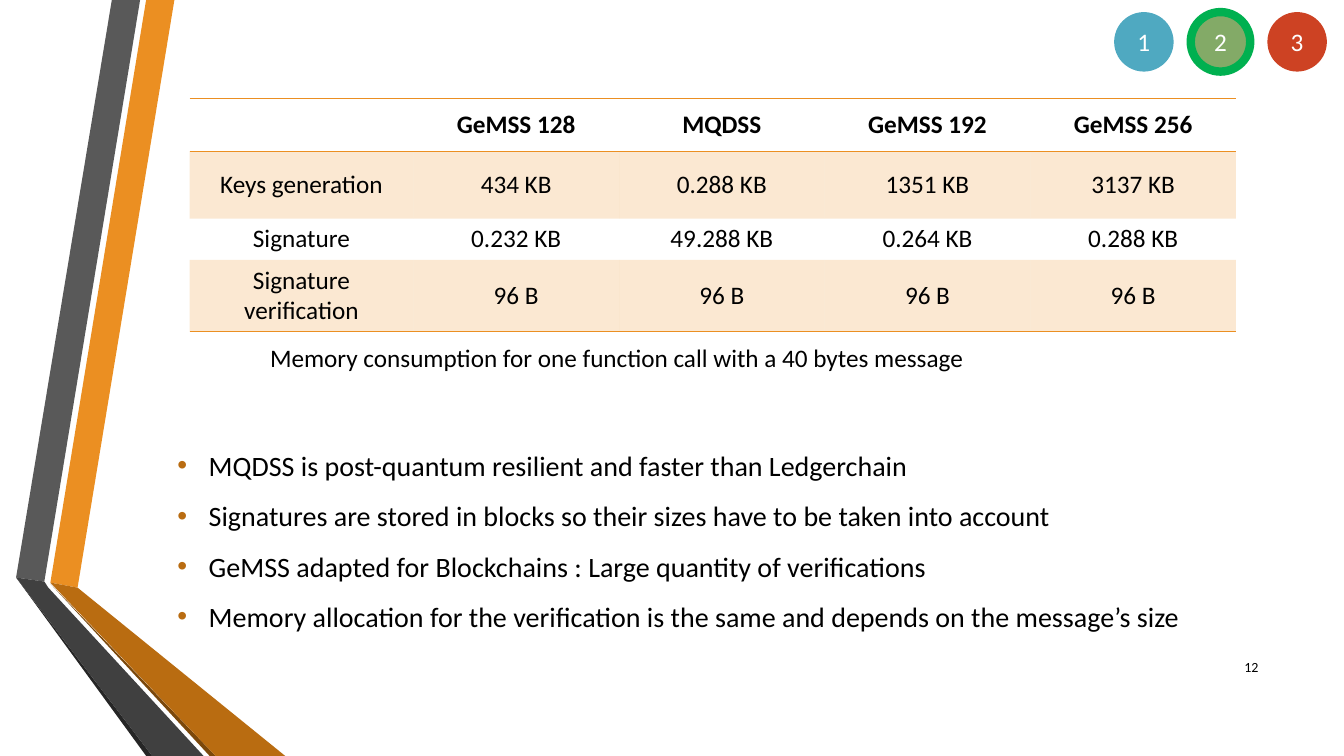
import pptx
import pptx.dml.color
import pptx.enum.shapes
import pptx.enum.text
import pptx.oxml
import pptx.oxml.ns
import pptx.util

PX = 9144
FONT = "Calibri"
BLACK, WHITE, GOLD, RUST = "000000", "FFFFFF", "EB8F22", "B96C11"
ALIGN = pptx.enum.text.PP_ALIGN
MID = pptx.enum.text.MSO_ANCHOR.MIDDLE
NONE = pptx.enum.text.MSO_AUTO_SIZE.NONE
PLAIN = "{2D5ABB26-0587-4C30-8999-92F81FD0307C}"

BANDS = [
    (GOLD, [(50, 578), (77, 583), (173, 0), (145, 0)]),
    ("595959", [(139, 0), (111, 0), (16, 573), (44, 577)]),
    ("262626", [(16, 573), (145, 750), (151, 750)]),
    ("7B480B", [(50, 579), (208, 750), (214, 750)]),
    (RUST, [(50, 578), (214, 750), (283, 750), (77, 583)]),
    ("404040", [(202, 750), (48, 583), (44, 577), (16, 573), (151, 750)]),
]
ROWS = [
    ["", "GeMSS 128", "MQDSS", "GeMSS 192", "GeMSS 256"],
    ["Keys generation", "434 KB", "0.288 KB", "1351 KB", "3137 KB"],
    ["Signature", "0.232 KB", "49.288 KB", "0.264 KB", "0.288 KB"],
    ["Signature verification"] + ["96 B"] * 4,
]
POINTS = [
    "MQDSS is post-quantum resilient and faster than Ledgerchain",
    "Signatures are stored in blocks so their sizes have to be taken into account",
    "GeMSS adapted for Blockchains : Large quantity of verifications",
    "Memory allocation for the verification is the same and depends on the message’s size",
]
STEPS = [("1", "4FA9C1", None), ("2", "83AA67", "00B050"), ("3", "CD4223", None)]


def emu(*nums):
    """Turn px lengths into EMU."""
    return [pptx.util.Emu(n * PX) for n in nums]


def paint(form, hue):
    """Give a fill or a font a hex colour."""
    if hasattr(form, "solid"):
        form.solid()
        form = form.fore_color
    else:
        form = form.color
    form.rgb = pptx.dml.color.RGBColor.from_string(hue)


def style(frame, size, hue, align, bold=False):
    """Format every paragraph and run of a text frame."""
    for para in frame.paragraphs:
        para.alignment = align
        for run in para.runs:
            run.font.name = FONT
            run.font.size = pptx.util.Pt(size)
            run.font.bold = bold
            paint(run.font, hue)


def note(slide, box, text, size, align):
    """Place one line of black text in a box."""
    frame = slide.shapes.add_textbox(*emu(*box)).text_frame
    frame.text = text
    frame.word_wrap = True
    frame.vertical_anchor = MID
    style(frame, size, BLACK, align)


def ribbon(slide, box):
    """Draw the folded bands, offset by the corner of the box."""
    left, top = box
    for hue, dots in BANDS:
        dots = [(left + x, top + y) for x, y in dots]
        pen = slide.shapes.build_freeform(*dots[0], scale=PX)
        pen.add_line_segments(dots[1:], close=True)
        band = pen.convert_to_shape()
        band.shadow.inherit = False
        band.line.fill.background()
        paint(band.fill, hue)


def border(cell, sides):
    """Add one-point gold rules to the given sides of a cell."""
    props = cell._tc.get_or_add_tcPr()
    for spot, side in enumerate(sides):
        props.insert(spot, pptx.oxml.parse_xml(
            f'<a:ln{side} {pptx.oxml.ns.nsdecls("a")} w="12700"><a:solidFill>'
            f'<a:srgbClr val="{GOLD}"/></a:solidFill></a:ln{side}>'))


def tint(cell):
    """Fill a cell with gold at one fifth strength."""
    paint(cell.fill, GOLD)
    tone = cell._tc.tcPr.find(".//" + pptx.oxml.ns.qn("a:srgbClr"))
    tone.append(pptx.oxml.parse_xml(
        f'<a:alpha {pptx.oxml.ns.nsdecls("a")} val="20000"/>'))


def grid(slide, box):
    """Build the memory table in a box."""
    frame = slide.shapes.add_table(len(ROWS), len(ROWS[0]), *emu(*box))
    table = frame.table
    table.first_row = table.horz_banding = False
    table._tbl.tblPr.find(pptx.oxml.ns.qn("a:tableStyleId")).text = PLAIN
    for col, wide in zip(table.columns, emu(222, *[204] * 4)):
        col.width = wide
    for row, high in zip(table.rows, emu(52, 67, 41, 71)):
        row.height = high
    for r, words in enumerate(ROWS):
        for c, word in enumerate(words):
            cell = table.cell(r, c)
            cell.text = word
            cell.vertical_anchor = MID
            style(cell.text_frame, 18, BLACK, ALIGN.CENTER, r == 0)
            if r % 2:
                tint(cell)
            else:
                cell.fill.background()
            border(cell, {0: "TB", len(ROWS) - 1: "B"}.get(r, ""))


def points(slide, box):
    """Fill the body placeholder with the bulleted findings."""
    body = slide.placeholders[1]
    body.left, body.top, body.width, body.height = emu(*box)
    frame = body.text_frame
    frame.text = "\n".join(POINTS)
    frame.word_wrap = True
    frame.auto_size = NONE
    style(frame, 20, BLACK, ALIGN.LEFT)
    for para in frame.paragraphs:
        para.line_spacing = 1.5
        para.space_before = para.space_after = pptx.util.Pt(0)
        props = para._p.get_or_add_pPr()
        props.set("marL", str(31 * PX))
        props.set("indent", str(-31 * PX))
        for tag in (f'buClr {{}}><a:srgbClr val="{RUST}"/></a:buClr>',
                    'buFont {} typeface="Arial"/>', 'buChar {} char="•"/>'):
            props.append(pptx.oxml.parse_xml(
                "<a:" + tag.format(pptx.oxml.ns.nsdecls("a"))))


def steps(slide, box):
    """Set the numbered discs in a row from the box corner."""
    left, top, size, pitch = box
    oval = pptx.enum.shapes.MSO_SHAPE.OVAL
    for i, (mark, hue, ring) in enumerate(STEPS):
        disc = slide.shapes.add_shape(
            oval, *emu(left + i * pitch, top, size, size))
        disc.shadow.inherit = False
        paint(disc.fill, hue)
        if ring:
            paint(disc.line.fill, ring)
            disc.line.width = pptx.util.Pt(6)
        else:
            disc.line.fill.background()
        disc.text_frame.text = mark
        disc.text_frame.vertical_anchor = MID
        style(disc.text_frame, 18, WHITE, ALIGN.CENTER)


def main():
    """Build the slide and save it."""
    deck = pptx.Presentation()
    deck.slide_width, deck.slide_height = emu(1333, 750)
    slide = deck.slides.add_slide(deck.slide_layouts[1])
    title = slide.shapes.title.element
    title.getparent().remove(title)
    ribbon(slide, (0, 0))
    note(slide, (1198, 642, 60, 40), "12", 10, ALIGN.RIGHT)
    grid(slide, (188, 98, 1038, 231))
    note(slide, (258, 335, 726, 40),
         "Memory consumption for one function call with a 40 bytes message",
         18, ALIGN.LEFT)
    points(slide, (166, 423, 1075, 320))
    steps(slide, (1105, 12, 59, 76))
    deck.save("out.pptx")


if __name__ == "__main__":
    main()
